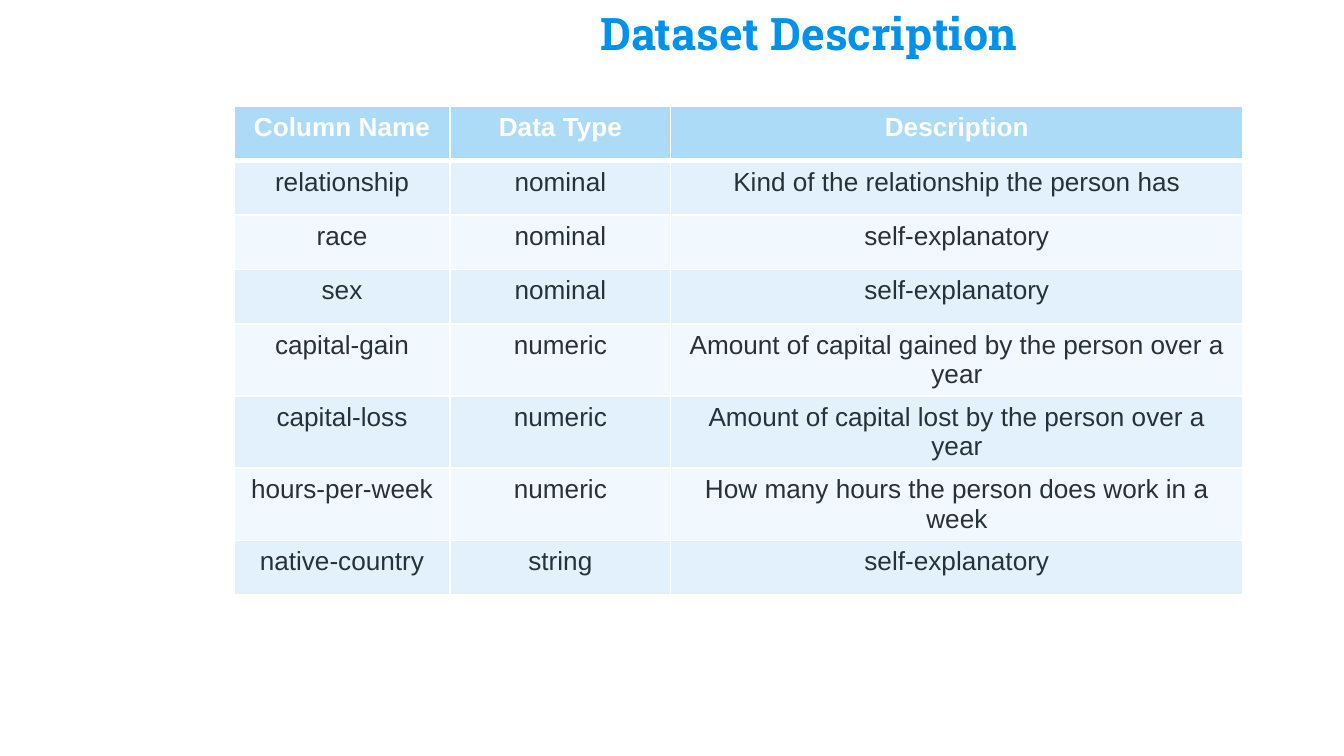
import pptx
import pptx.dml.color
import pptx.enum.text
import pptx.oxml.ns
import pptx.util
from lxml import etree
from pptx.util import Inches

TITLE_BLUE = pptx.dml.color.RGBColor(0x00, 0x91, 0xEA)
HEADER_BLUE = pptx.dml.color.RGBColor(0xAC, 0xDB, 0xF8)
BAND_DARK = pptx.dml.color.RGBColor(0xE3, 0xF1, 0xFC)
BAND_LIGHT = pptx.dml.color.RGBColor(0xF1, 0xF8, 0xFE)
BODY_TEXT = pptx.dml.color.RGBColor(0x26, 0x32, 0x38)
WHITE = pptx.dml.color.RGBColor(0xFF, 0xFF, 0xFF)

COLUMN_WIDTHS = (1.61, 1.64, 4.26)
DATASET_ROWS = (
    ("Column Name", "Data Type", "Description"),
    ("relationship", "nominal", "Kind of the relationship the person has"),
    ("race", "nominal", "self-explanatory"),
    ("sex", "nominal", "self-explanatory"),
    ("capital-gain", "numeric", "Amount of capital gained by the person over a year"),
    ("capital-loss", "numeric", "Amount of capital lost by the person over a year"),
    ("hours-per-week", "numeric", "How many hours the person does work in a week"),
    ("native-country", "string", "self-explanatory"),
)


def style_font(font, name, size, color, bold):
    font.name = name
    font.size = pptx.util.Pt(size)
    font.color.rgb = color
    font.bold = bold


def add_title(slide, text):
    title = slide.shapes.add_textbox(Inches(4.37), 0, Inches(4.17), Inches(0.54))
    frame = title.text_frame
    frame.word_wrap = True
    frame.vertical_anchor = pptx.enum.text.MSO_ANCHOR.BOTTOM
    frame.margin_left = frame.margin_right = Inches(0.1)
    frame.margin_top = frame.margin_bottom = Inches(0.1)
    frame.text = text
    style_font(frame.paragraphs[0].runs[0].font, "Roboto Slab", 24, TITLE_BLUE, True)


def set_borders(cell, top, bottom):
    properties = cell._tc.get_or_add_tcPr()
    for side, points in (("L", 1), ("R", 1), ("T", top), ("B", bottom)):
        line = etree.SubElement(properties, pptx.oxml.ns.qn(f"a:ln{side}"))
        line.set("w", str(pptx.util.Pt(points)))
        fill = etree.SubElement(line, pptx.oxml.ns.qn("a:solidFill"))
        etree.SubElement(fill, pptx.oxml.ns.qn("a:srgbClr")).set("val", str(WHITE))


def fill_cell(cell, text, row):
    header = row == 0
    set_borders(cell, 3 if row == 1 else 1, 3 if header else 1)
    cell.fill.solid()
    band = BAND_DARK if row % 2 else BAND_LIGHT
    cell.fill.fore_color.rgb = HEADER_BLUE if header else band
    cell.text_frame.text = text
    paragraph = cell.text_frame.paragraphs[0]
    paragraph.alignment = pptx.enum.text.PP_ALIGN.CENTER
    style_font(paragraph.runs[0].font, "Arial", 14, WHITE if header else BODY_TEXT, header)


def add_dataset_table(slide):
    dataset = slide.shapes.add_table(
        len(DATASET_ROWS), len(COLUMN_WIDTHS),
        Inches(1.74), Inches(0.79), Inches(sum(COLUMN_WIDTHS)), Inches(3.24),
    ).table
    for column, width in zip(dataset.columns, COLUMN_WIDTHS):
        column.width = Inches(width)
    for row, texts in enumerate(DATASET_ROWS):
        for column, text in enumerate(texts):
            fill_cell(dataset.cell(row, column), text, row)


def main():
    """Build the dataset description slide."""
    presentation = pptx.Presentation()
    presentation.slide_width = Inches(10)
    presentation.slide_height = Inches(10) * 9 // 16
    slide = presentation.slides.add_slide(presentation.slide_layouts[6])
    add_dataset_table(slide)
    add_title(slide, "Dataset Description")
    presentation.save("out.pptx")


if __name__ == "__main__":
    main()
